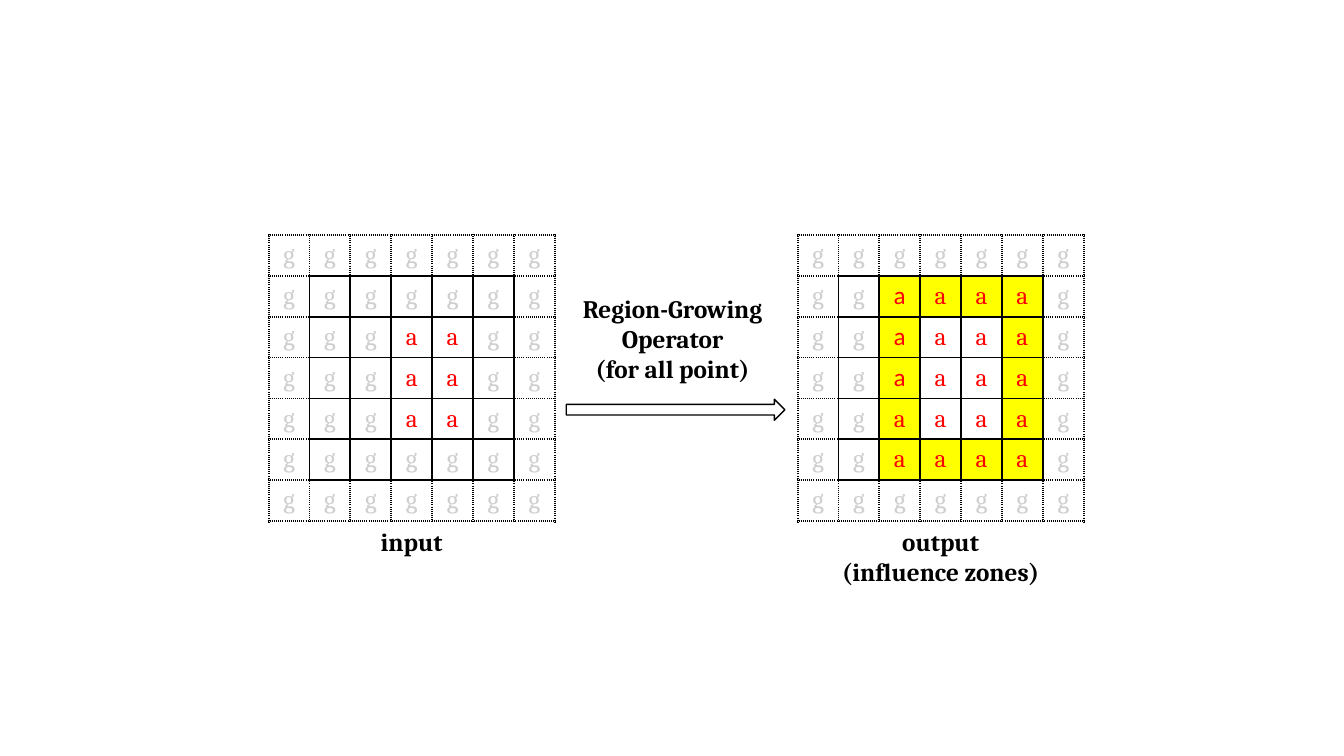
import pptx
import pptx.util
import pptx.dml.color
import pptx.enum.shapes
import pptx.enum.text
import lxml.etree

Cm, Pt = pptx.util.Cm, pptx.util.Pt

INPUT_ROWS = ["ggggggg", "ggggggg", "gggaagg", "gggaagg", "gggaagg", "ggggggg", "ggggggg"]
OUTPUT_ROWS = ["ggggggg", "ggaaaag", "ggaaaag", "ggaaaag", "ggaaaag", "ggaaaag", "ggggggg"]
CALIBRI_CELLS = {(1, 2), (2, 2), (3, 2)}
INPUT_CAPTION = ["input"]
OUTPUT_CAPTION = ["output", "(influence zones)"]
OPERATOR = ["Region-Growing", "Operator", "(for all point)"]

LETTER_COLOURS = {"g": "D0CECE", "a": "FF0000"}
BLACK, WHITE, GROWN = "000000", "FFFFFF", "FFFF00"

CELL = 1.03
COUNT = len(INPUT_ROWS)
GRID = CELL * COUNT
GRID_TOP = 5.92
INPUT_LEFT, OUTPUT_LEFT = 6.77, 20.1
NEIGHBOURS = {"lnL": (0, -1), "lnR": (0, 1), "lnT": (-1, 0), "lnB": (1, 0)}


def colour(value):
    return pptx.dml.color.RGBColor.from_string(value)


def format_text(paragraph, text, font_name, text_colour, bold=False):
    paragraph.text = text
    paragraph.alignment = pptx.enum.text.PP_ALIGN.CENTER
    paragraph.font.size = Pt(18)
    paragraph.font.name = font_name
    paragraph.font.bold = bold
    paragraph.font.color.rgb = colour(text_colour)


def is_inner(row, column):
    return 0 < row < COUNT - 1 and 0 < column < COUNT - 1


def add_borders(cell, row, column):
    properties = cell._tc.get_or_add_tcPr()
    namespace = "{http://schemas.openxmlformats.org/drawingml/2006/main}"
    for side, (down, right) in NEIGHBOURS.items():
        solid = is_inner(row, column) or is_inner(row + down, column + right)
        border = lxml.etree.SubElement(properties, namespace + side, w=str(Pt(1.5)))
        fill = lxml.etree.SubElement(border, namespace + "solidFill")
        lxml.etree.SubElement(fill, namespace + "srgbClr", val=BLACK)
        lxml.etree.SubElement(border, namespace + "prstDash", val="solid" if solid else "sysDot")


def add_grid(slide, left, letters, before=None, calibri_cells=()):
    grid = slide.shapes.add_table(COUNT, COUNT, Cm(left), Cm(GRID_TOP), Cm(GRID), Cm(GRID)).table
    grid.first_row = grid.horz_banding = False
    for line in [*grid.columns]:
        line.width = Cm(CELL)
    for line in [*grid.rows]:
        line.height = Cm(CELL)
    for row, row_letters in enumerate(letters):
        for column, letter in enumerate(row_letters):
            cell = grid.cell(row, column)
            cell.margin_top = cell.margin_bottom = 0
            cell.vertical_anchor = pptx.enum.text.MSO_ANCHOR.MIDDLE
            font_name = "Calibri" if (row, column) in calibri_cells else "Cambria"
            format_text(cell.text_frame.paragraphs[0], letter, font_name, LETTER_COLOURS[letter])
            add_borders(cell, row, column)
            if before and letter == "a":
                cell.fill.solid()
                cell.fill.fore_color.rgb = colour(WHITE if before[row][column] == "a" else GROWN)
            else:
                cell.fill.background()


def add_label(slide, lines, left, top, width, height):
    frame = slide.shapes.add_textbox(Cm(left), Cm(top), Cm(width), Cm(height)).text_frame
    frame.word_wrap = True
    frame.auto_size = pptx.enum.text.MSO_AUTO_SIZE.SHAPE_TO_FIT_TEXT
    for index, line in enumerate(lines):
        paragraph = frame.add_paragraph() if index else frame.paragraphs[0]
        format_text(paragraph, line, "Cambria", BLACK, bold=True)


def add_arrow(slide):
    arrow = slide.shapes.add_shape(pptx.enum.shapes.MSO_SHAPE.RIGHT_ARROW,
                                   Cm(14.27), Cm(10.06), Cm(5.51), Cm(0.53))
    arrow.shadow.inherit = False
    arrow.fill.solid()
    arrow.fill.fore_color.rgb = colour(WHITE)
    arrow.line.color.rgb = colour(BLACK)
    arrow.line.width = Pt(1)


def main():
    presentation = pptx.Presentation()
    presentation.slide_width, presentation.slide_height = Cm(33.87), Cm(19.05)
    slide = presentation.slides.add_slide(presentation.slide_layouts[6])
    add_grid(slide, INPUT_LEFT, INPUT_ROWS)
    add_grid(slide, OUTPUT_LEFT, OUTPUT_ROWS, INPUT_ROWS, CALIBRI_CELLS)
    add_arrow(slide)
    add_label(slide, OPERATOR, 14.27, 7.26, 5.36, 2.57)
    caption_top = GRID_TOP + GRID
    add_label(slide, INPUT_CAPTION, INPUT_LEFT, caption_top, GRID, 1.02)
    add_label(slide, OUTPUT_CAPTION, OUTPUT_LEFT, caption_top, GRID, 1.8)
    presentation.save("out.pptx")


if __name__ == "__main__":
    main()
